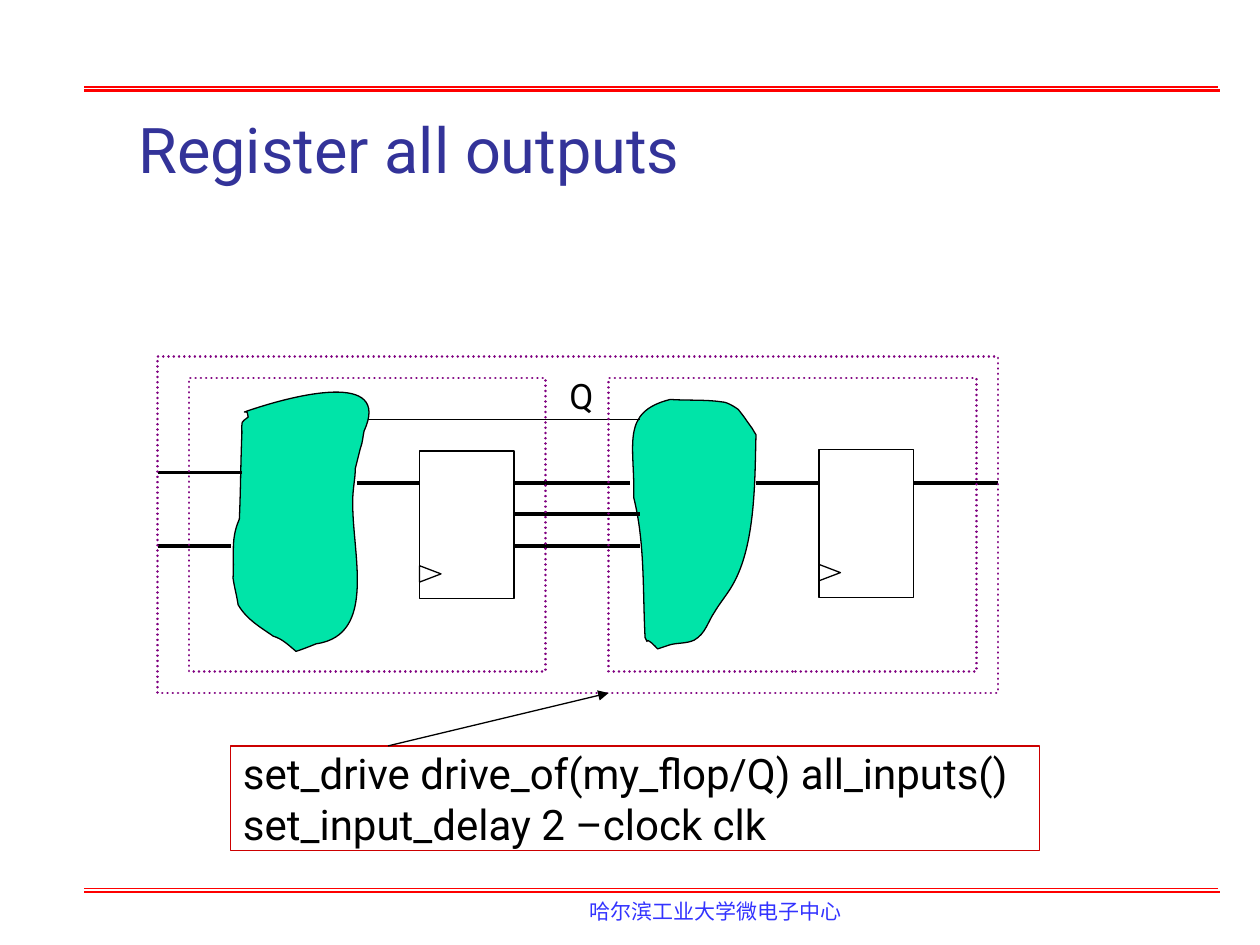
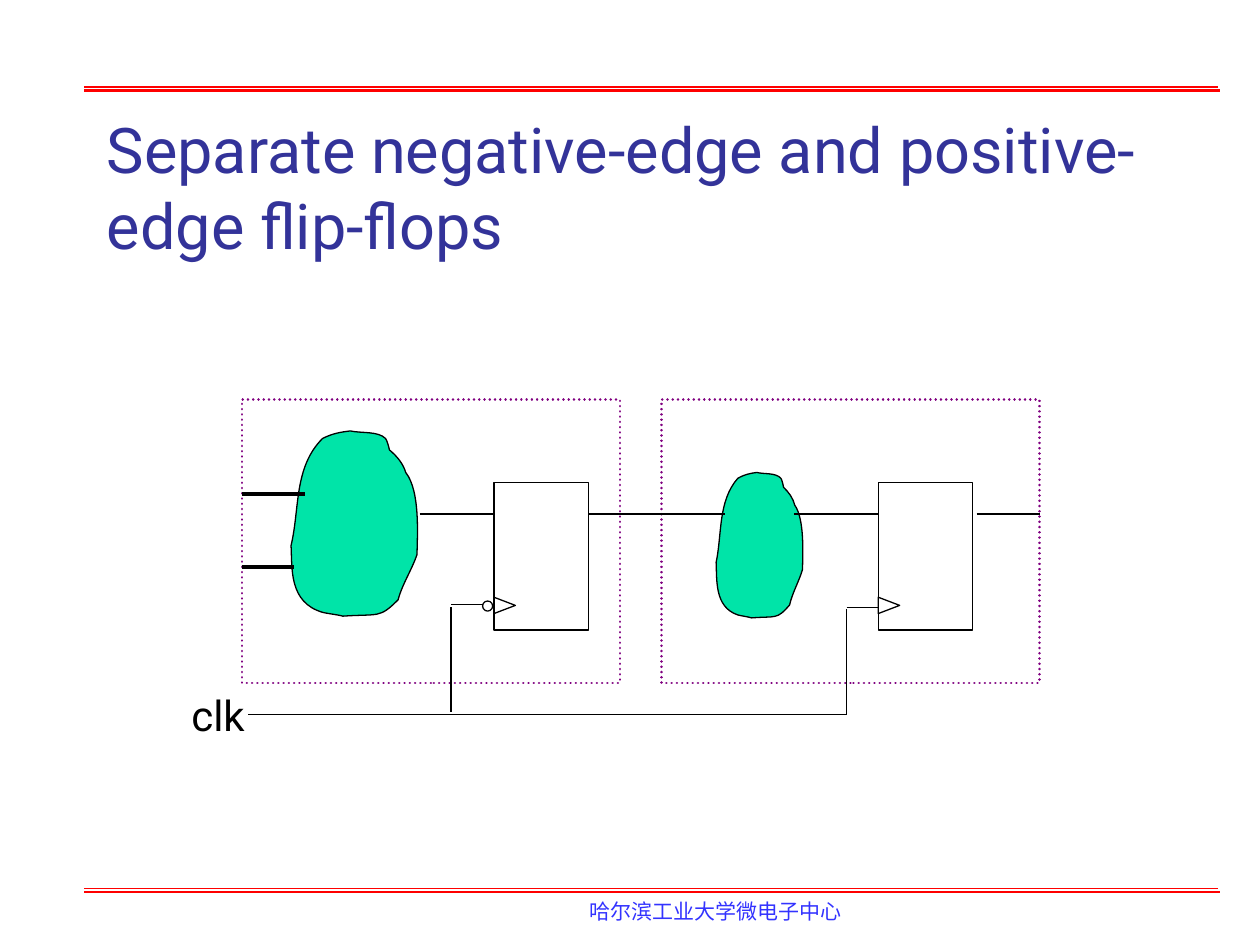
from dataclasses import dataclass

from lxml import etree
from pptx import Presentation
from pptx.dml.color import RGBColor
from pptx.enum.dml import MSO_LINE
from pptx.enum.shapes import MSO_CONNECTOR, MSO_SHAPE
from pptx.enum.text import MSO_ANCHOR, PP_ALIGN
from pptx.oxml.ns import qn
from pptx.util import Inches, Pt

RECT, TRIANGLE, OVAL = MSO_SHAPE.RECTANGLE, MSO_SHAPE.ISOSCELES_TRIANGLE, MSO_SHAPE.OVAL
STRAIGHT = MSO_CONNECTOR.STRAIGHT
DOTTED = MSO_LINE.ROUND_DOT
LEFT, TOP, MIDDLE = PP_ALIGN.LEFT, MSO_ANCHOR.TOP, MSO_ANCHOR.MIDDLE


@dataclass(frozen=True)
class Theme:
    font: str = "Roboto"
    footer_font: str = "DejaVu Sans"
    title: str = "333399"
    footer: str = "3333FF"
    band: str = "FF0000"
    ink: str = "000000"
    logic: str = "00E4A8"
    module: str = "800080"
    note: str = "CC0000"
    title_size: float = 36
    code_size: float = 24
    pin_size: float = 20
    footer_size: float = 12
    thin: float = 0.75
    medium: float = 1.5
    thick: float = 2.25


THEME = Theme()

# Logic outlines: a start point, then cubic curves (two controls and an end)
INPUT_LOGIC = (1.94, 3.27), [
    (2.34, 3.13, 3.11, 2.94, 2.89, 3.42),
    (2.88, 3.46, 2.88, 3.51, 2.86, 3.56),
    (2.86, 3.57, 2.85, 3.59, 2.85, 3.6),
    (2.84, 3.64, 2.82, 3.72, 2.82, 3.72),
    (2.82, 3.8, 2.8, 3.88, 2.8, 3.97),
    (2.79, 4.38, 3, 5.04, 2.51, 5.11),
    (2.46, 5.13, 2.41, 5.15, 2.35, 5.17),
    (2.29, 5.12, 2.24, 5.07, 2.17, 5.05),
    (2.07, 4.98, 1.96, 4.92, 1.89, 4.8),
    (1.88, 4.73, 1.86, 4.66, 1.85, 4.59),
    (1.86, 4.38, 1.83, 4.28, 1.9, 4.12),
    (1.91, 3.9, 1.91, 3.67, 1.92, 3.44),
    (1.92, 3.33, 1.91, 3.36, 1.97, 3.31),
    (1.96, 3.27, 1.97, 3.27, 1.94, 3.27),
]
OUTPUT_LOGIC = (5.12, 5.06), [
    (5.1, 4.69, 5.12, 4.31, 5.03, 3.95),
    (5.04, 3.53, 4.92, 3.27, 5.32, 3.17),
    (5.46, 3.18, 5.6, 3.17, 5.73, 3.19),
    (5.78, 3.19, 5.86, 3.25, 5.86, 3.25),
    (5.93, 3.34, 5.89, 3.29, 5.97, 3.4),
    (5.98, 3.42, 6, 3.45, 6, 3.45),
    (5.99, 3.8, 6, 4.33, 5.81, 4.65),
    (5.77, 4.72, 5.71, 4.79, 5.67, 4.86),
    (5.62, 4.93, 5.6, 5.03, 5.51, 5.08),
    (5.45, 5.11, 5.37, 5.1, 5.31, 5.12),
    (5.28, 5.13, 5.22, 5.15, 5.22, 5.15),
    (5.2, 5.14, 5.2, 5.12, 5.18, 5.11),
    (5.1, 5.04, 5.16, 5.14, 5.12, 5.06),
]
# Measured from its own top left corner, so that it can be scaled
EDGE_LOGIC = (0.49, 0), [
    (0.41, 0.01, 0.35, 0.02, 0.27, 0.06),
    (0.04, 0.29, 0.09, 0.62, 0.02, 0.91),
    (0.03, 1.09, 0, 1.36, 0.27, 1.44),
    (0.31, 1.45, 0.4, 1.46, 0.43, 1.47),
    (0.72, 1.45, 0.72, 1.49, 0.87, 1.34),
    (0.9, 1.22, 0.98, 1.1, 1.02, 0.98),
    (1.02, 0.86, 1.05, 0.48, 0.93, 0.33),
    (0.91, 0.26, 0.86, 0.2, 0.8, 0.15),
    (0.8, 0.14, 0.78, 0.07, 0.77, 0.06),
    (0.71, 0, 0.58, 0.02, 0.49, 0),
]


def rgb(color):
    return RGBColor.from_string(color)


def add_line(slide, x1, y1, x2, y2, width=THEME.thin, color=THEME.ink, arrow=False):
    line = slide.shapes.add_connector(
        STRAIGHT, Inches(x1), Inches(y1), Inches(x2), Inches(y2))
    line.line.color.rgb = rgb(color)
    line.line.width = Pt(width)
    props = line._element.spPr
    if arrow:
        etree.SubElement(props.find(qn("a:ln")), qn("a:tailEnd"), type="triangle")
    etree.SubElement(props, qn("a:effectLst"))


def add_wires(slide, wires, width=THEME.thin):
    for wire in wires:
        add_line(slide, *wire, width=width)


def style(sp, color=THEME.ink, width=THEME.thin, fill=None):
    sp.shadow.inherit = False
    sp.line.color.rgb = rgb(color)
    sp.line.width = Pt(width)
    if fill:
        sp.fill.solid()
        sp.fill.fore_color.rgb = rgb(fill)
    else:
        sp.fill.background()


def add_outline(slide, kind, x, y, w, h, color=THEME.ink, width=THEME.thin):
    sp = slide.shapes.add_shape(kind, Inches(x), Inches(y), Inches(w), Inches(h))
    style(sp, color, width)
    return sp


def add_module(slide, x, y, w, h):
    sp = add_outline(slide, RECT, x, y, w, h, THEME.module, THEME.medium)
    sp.line.dash_style = DOTTED
    sp._element.spPr.find(qn("a:ln")).set("cap", "rnd")


def add_flop(slide, x, y):
    add_outline(slide, RECT, x, y, 0.75, 1.17)
    clock_mark = add_outline(slide, TRIANGLE, x + 0.02, y + 0.89, 0.13, 0.17)
    clock_mark.rotation = 90


def bend_segments(sp):
    """Turn each three straight segments into one cubic curve."""
    segments = list(sp._element.iter(qn("a:lnTo")))
    for i in range(0, len(segments), 3):
        first, second, end = segments[i:i + 3]
        curve = etree.Element(qn("a:cubicBezTo"))
        first.addprevious(curve)
        for segment in (first, second, end):
            curve.append(segment[0])
            segment.getparent().remove(segment)


def add_logic(slide, outline, x=0, y=0, x_scale=1, y_scale=1):
    start, curves = outline
    controls = [curve[i:i + 2] for curve in curves for i in (0, 2, 4)]
    points = [(Inches(x + px * x_scale), Inches(y + py * y_scale))
              for px, py in (start, *controls)]
    builder = slide.shapes.build_freeform(*points[0])
    builder.add_line_segments(points[1:], close=True)
    sp = builder.convert_to_shape()
    bend_segments(sp)
    style(sp, fill=THEME.logic)


def set_text(sp, lines, size, color=THEME.ink, font=THEME.font, wrap=True, anchor=TOP):
    tf = sp.text_frame
    tf.word_wrap = wrap
    tf.vertical_anchor = anchor
    tf.text = "\n".join(lines)
    for p in tf.paragraphs:
        p.alignment = LEFT
        p.font.name = font
        p.font.size = Pt(size)
        p.font.color.rgb = rgb(color)


def add_text(slide, text, x, y, w, h, size, **look):
    sp = slide.shapes.add_textbox(Inches(x), Inches(y), Inches(w), Inches(h))
    set_text(sp, [text], size, **look)


def add_slide(prs, title, x, w, h):
    slide = prs.slides.add_slide(prs.slide_layouts[6])
    # Double rules above and below, then the footer and the title
    for y in (0.69, 7.05):
        add_line(slide, 0.67, y, 9.67, y, THEME.thin, THEME.band)
        add_line(slide, 0.67, y + 0.03, 9.68, y + 0.03, THEME.medium, THEME.band)
    add_text(slide, "哈尔滨工业大学微电子中心", 4.58, 7.08, 2.25, 0.3,
             THEME.footer_size, color=THEME.footer, font=THEME.footer_font)
    add_text(slide, title, x, 0.83, w, h, THEME.title_size, color=THEME.title)
    return slide


def build_register_outputs(prs):
    slide = add_slide(prs, "Register all outputs", 1, 8.5, 0.7)

    # Logic and registers
    add_logic(slide, INPUT_LOGIC)
    add_logic(slide, OUTPUT_LOGIC)
    add_flop(slide, 6.5, 3.57)
    add_flop(slide, 3.33, 3.58)

    # Signals
    add_wires(slide, [
        (2.83, 3.83, 3.33, 3.83),
        (4.08, 3.83, 5, 3.83),
        (4.08, 4.08, 5.08, 4.08),
        (4.08, 4.33, 5.08, 4.33),
        (6, 3.83, 6.5, 3.83),
        (1.92, 3.75, 1.25, 3.75),
        (1.83, 4.33, 1.25, 4.33),
        (7.25, 3.83, 7.92, 3.83),
    ], THEME.thick)
    add_line(slide, 2.92, 3.33, 5.08, 3.33)
    add_text(slide, "Q", 4.42, 2.92, 0.58, 0.44, THEME.pin_size)

    # Module borders
    add_module(slide, 1.5, 3, 2.83, 2.33)
    add_module(slide, 4.83, 3, 2.92, 2.33)
    add_module(slide, 1.25, 2.83, 6.67, 2.67)

    # Constraint note
    note = add_outline(slide, RECT, 1.83, 5.92, 6.42, 0.83, THEME.note)
    set_text(note, ["set_drive drive_of(my_flop/Q) all_inputs()",
                    "set_input_delay 2 –clock clk"],
             THEME.code_size, wrap=False, anchor=MIDDLE)
    add_line(slide, 3.08, 5.92, 4.83, 5.5, arrow=True)


def build_separate_edges(prs):
    slide = add_slide(prs, "Separate negative-edge and positive-edge flip-flops",
                      0.75, 9, 1.3)

    # Modules, logic and registers
    for x in (1.92, 5.25):
        add_module(slide, x, 3.17, 3, 2.25)
    add_logic(slide, EDGE_LOGIC, 2.29, 3.42)
    add_logic(slide, EDGE_LOGIC, 5.67, 3.75, 0.72 / 1.05, 1.17 / 1.49)
    for x in (3.92, 6.97):
        add_flop(slide, x, 3.83)
    add_outline(slide, OVAL, 3.83, 4.77, 0.08, 0.08)

    # Inputs and data signals
    add_wires(slide, [(1.92, 3.92, 2.42, 3.92), (1.92, 4.5, 2.33, 4.5)], THEME.thick)
    for x1, x2 in ((3.33, 3.92), (4.67, 5.75), (6.3, 6.97), (7.75, 8.25)):
        add_line(slide, x1, 4.08, x2, 4.08)

    # Clock
    add_wires(slide, [
        (1.97, 5.67, 6.72, 5.67),
        (3.58, 5.65, 3.58, 4.82),
        (3.58, 4.8, 3.83, 4.8),
        (6.72, 5.67, 6.72, 4.83),
        (6.72, 4.82, 6.97, 4.82),
    ])
    add_text(slide, "clk", 1.42, 5.42, 0.67, 0.5, THEME.code_size)


def main():
    prs = Presentation()
    prs.slide_width, prs.slide_height = Inches(10), Inches(7.5)
    build_register_outputs(prs)
    build_separate_edges(prs)
    prs.save("out.pptx")


if __name__ == "__main__":
    main()
